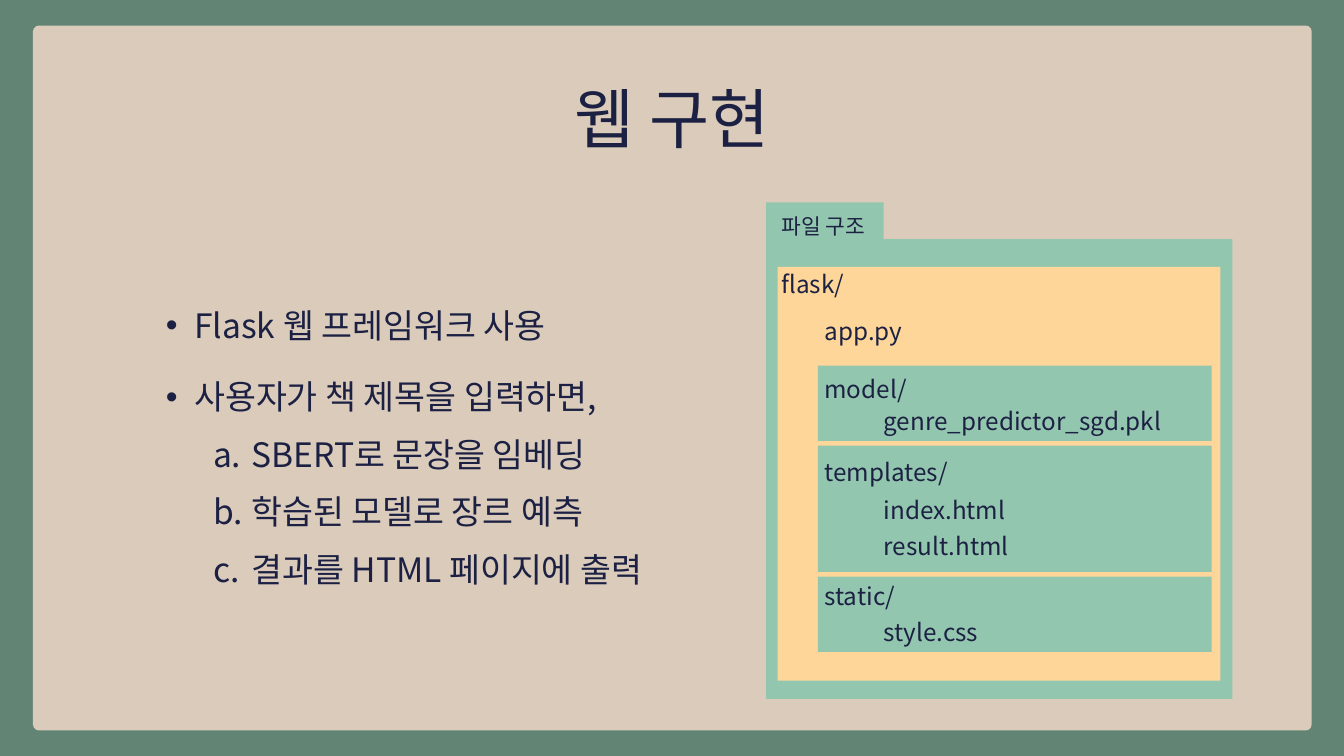
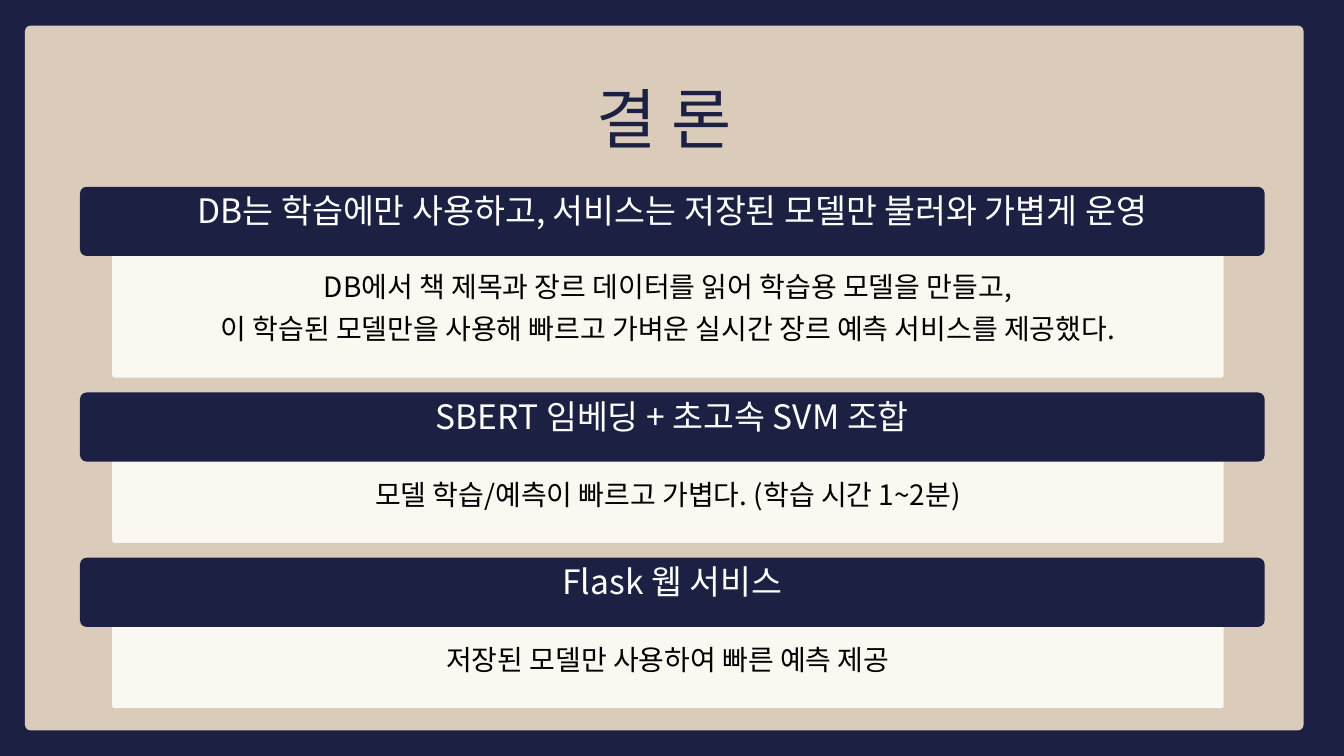
from dataclasses import dataclass

import pptx
import pptx.dml.color
import pptx.enum.shapes
import pptx.enum.text
import pptx.oxml.ns
import pptx.oxml.xmlchemy
import pptx.presentation
import pptx.shapes.autoshape
import pptx.slide
import pptx.text.text
import pptx.util
from lxml import etree
from pptx.util import Inches

RGBColor = pptx.dml.color.RGBColor
Align = pptx.enum.text.PP_ALIGN
Anchor = pptx.enum.text.MSO_ANCHOR
AutoSize = pptx.enum.text.MSO_AUTO_SIZE
Preset = pptx.enum.shapes.MSO_SHAPE
qn = pptx.oxml.ns.qn

# Shared look
FONT = "Noto Sans CJK KR"
NAVY = RGBColor(0x1C, 0x21, 0x43)
GREEN = RGBColor(0x62, 0x84, 0x74)
BEIGE = RGBColor(0xDB, 0xCB, 0xBB)
MINT = RGBColor(0x93, 0xC6, 0xAE)
YELLOW = RGBColor(0xFF, 0xD6, 0x99)
CREAM = RGBColor(0xFA, 0xF8, 0xF0)
BLACK = RGBColor(0, 0, 0)
WHITE = RGBColor(0xFF, 0xFF, 0xFF)


@dataclass(frozen=True)
class Box:
    """Left, top, width and height in inches."""
    left: float
    top: float
    width: float
    height: float


@dataclass(frozen=True)
class Style:
    size: float
    spacing: float
    color: RGBColor = NAVY
    align: Align | None = Align.JUSTIFY


@dataclass(frozen=True)
class Folder:
    name: str
    files: list[str]
    files_offset: float
    files_width: float


@dataclass(frozen=True)
class Conclusion:
    heading: str
    lines: list[str]


TITLE = Style(70, 98, align=Align.CENTER)
TAB_LABEL = Style(23, 34.5)
FILE_NAME = Style(26, 39)
FOLDER_NAME = Style(26, 44.5)
BULLET = Style(36, 76.3, align=None)
STEP = Style(36, 61.6)
HEADING = Style(36, 54, WHITE, Align.CENTER)
BODY = Style(30, 45, BLACK, Align.CENTER)

FOLDERS = [
    Folder("model/", ["genre_predictor_sgd.pkl"], 0.49, 4.43),
    Folder("templates/", ["index.html", "result.html"], 0.63, 1.95),
    Folder("static/", ["style.css"], 0.49, 1.66),
]
BULLETS = ["Flask 웹 프레임워크 사용", "사용자가 책 제목을 입력하면,"]
STEPS = ["SBERT로 문장을 임베딩", "학습된 모델로 장르 예측", "결과를 HTML 페이지에 출력"]
CONCLUSIONS = [
    Conclusion(
        "DB는 학습에만 사용하고, 서비스는 저장된 모델만 불러와 가볍게 운영",
        ["DB에서 책 제목과 장르 데이터를 읽어 학습용 모델을 만들고,",
         "이 학습된 모델만을 사용해 빠르고 가벼운 실시간 장르 예측 서비스를 제공했다."],
    ),
    Conclusion("SBERT 임베딩 + 초고속 SVM 조합",
               ["모델 학습/예측이 빠르고 가볍다. (학습 시간 1~2분)"]),
    Conclusion("Flask 웹 서비스", ["저장된 모델만 사용하여 빠른 예측 제공"]),
]


def place(box: Box) -> tuple[pptx.util.Length, ...]:
    return tuple(Inches(value) for value in (box.left, box.top, box.width, box.height))


def add_panel(slide: pptx.slide.Slide, box: Box, color: RGBColor,
              radius: float = 0) -> pptx.shapes.autoshape.Shape:
    preset = Preset.ROUNDED_RECTANGLE if radius else Preset.RECTANGLE
    shape = slide.shapes.add_shape(preset, *place(box))
    if radius:
        shape.adjustments[0] = radius / min(box.width, box.height)
    shape.fill.solid()
    shape.fill.fore_color.rgb = color
    shape.line.fill.background()
    shape.shadow.inherit = False
    return shape


def format_paragraph(paragraph: pptx.text.text._Paragraph, style: Style) -> None:
    paragraph.alignment = style.align
    paragraph.line_spacing = pptx.util.Pt(style.spacing)
    font = paragraph.font
    font.size = pptx.util.Pt(style.size)
    font.color.rgb = style.color
    font.name = FONT
    # East Asian text needs its own typeface element
    defaults = paragraph._p.pPr.find(qn("a:defRPr"))
    etree.SubElement(defaults, qn("a:ea"), typeface=FONT)


def prepare_frame(frame: pptx.text.text.TextFrame, inset: float = 0) -> None:
    frame.word_wrap = True
    frame.vertical_anchor = Anchor.TOP
    frame.margin_left = frame.margin_right = Inches(inset)
    frame.margin_top = frame.margin_bottom = Inches(inset)


def fill_lines(frame: pptx.text.text.TextFrame, lines: list[str], style: Style) -> None:
    for index, line in enumerate(lines):
        paragraph = frame.add_paragraph() if index else frame.paragraphs[0]
        paragraph.text = line
        format_paragraph(paragraph, style)


def add_text(slide: pptx.slide.Slide, box: Box, lines: list[str], style: Style,
             inset: float = 0) -> pptx.text.text.TextFrame:
    frame = slide.shapes.add_textbox(*place(box)).text_frame
    prepare_frame(frame, inset)
    fill_lines(frame, lines, style)
    return frame


def add_bullet(paragraph: pptx.text.text._Paragraph, level: int, margin: float,
               hanging: float, tag: str, **attributes: str) -> None:
    paragraph.level = level
    properties = paragraph._p.get_or_add_pPr()
    properties.set("marL", str(Inches(margin)))
    properties.set("indent", str(-Inches(hanging)))
    if tag == "a:buChar":
        etree.SubElement(properties, qn("a:buFont"), typeface="Arial")
    etree.SubElement(properties, qn(tag), **attributes)


def add_slide(presentation: pptx.presentation.Presentation, title_text: str,
              title_box: Box, background: RGBColor, panel_left: float) -> pptx.slide.Slide:
    """Coloured frame, rounded beige panel and centred title."""
    slide = presentation.slides.add_slide(presentation.slide_layouts[5])
    slide.background.fill.solid()
    slide.background.fill.fore_color.rgb = background
    title = slide.shapes.title
    title.left, title.top, title.width, title.height = place(title_box)
    prepare_frame(title.text_frame)
    title.text_frame.auto_size = AutoSize.NONE
    fill_lines(title.text_frame, [title_text], TITLE)
    panel = add_panel(slide, Box(panel_left, 0.38, 19.03, 10.49), BEIGE, 0.09)
    title.element.addprevious(panel.element)
    return slide


def add_file_tree(slide: pptx.slide.Slide) -> None:
    # Outer folder with its tab
    add_panel(slide, Box(11.4, 3.56, 6.94, 6.84), MINT)
    add_panel(slide, Box(11.4, 3.01, 1.75, 0.55), MINT)
    add_text(slide, Box(11.63, 3.08, 1.29, 0.44), ["파일 구조"], TAB_LABEL)
    add_panel(slide, Box(11.57, 3.97, 6.59, 6.16), YELLOW)

    # Subfolder panels and their files, each as tall as its file count asks
    top = 5.44
    for folder in FOLDERS:
        height = 0.36 + 0.76 * len(folder.files)
        add_panel(slide, Box(12.17, top, 5.86, height), MINT)
        files_box = Box(13.15, top + folder.files_offset, folder.files_width,
                        0.53 * len(folder.files))
        add_text(slide, files_box, folder.files, FILE_NAME)
        top += height + 0.07

    # Subfolder names leave one line for every file above them
    names = add_text(slide, Box(12.27, 5.38, 2, 3.61),
                     [folder.name for folder in FOLDERS], FOLDER_NAME)
    for paragraph, previous in zip(names.paragraphs[1:], FOLDERS):
        paragraph.space_before = pptx.util.Pt(FOLDER_NAME.spacing * len(previous.files))
    add_text(slide, Box(12.27, 4.6, 1.21, 0.5), ["app.py"], FILE_NAME)
    add_text(slide, Box(11.63, 3.9, 1.1, 0.5), ["flask/"], FILE_NAME)


def add_web_points(slide: pptx.slide.Slide) -> None:
    frame = slide.shapes.add_textbox(*place(Box(2.04, 4.08, 7.72, 4.66))).text_frame
    prepare_frame(frame)
    for index, line in enumerate(BULLETS + STEPS):
        paragraph = frame.add_paragraph() if index else frame.paragraphs[0]
        paragraph.text = line
        if index < len(BULLETS):
            add_bullet(paragraph, 1, 0.85, 0.42, "a:buChar", char="•")
            format_paragraph(paragraph, BULLET)
        else:
            add_bullet(paragraph, 2, 1.7, 0.57, "a:buAutoNum", type="alphaLcPeriod")
            format_paragraph(paragraph, STEP)


def add_conclusions(slide: pptx.slide.Slide) -> None:
    band_top = 2.78
    for conclusion in CONCLUSIONS:
        # Card with body text resting above its lower edge
        card = Box(1.67, band_top + 0.51, 16.54, 1.13 + 0.6 * len(conclusion.lines))
        add_panel(slide, card, CREAM, 0.04)
        body_box = Box(card.left, card.top - 0.39, card.width, card.height + 0.39)
        body = add_text(slide, body_box, conclusion.lines, BODY, 0.06)
        body.vertical_anchor = Anchor.BOTTOM
        body.margin_bottom = Inches(0.48)

        # Heading band over the card's top edge
        add_panel(slide, Box(1.19, band_top, 17.63, 1.03), NAVY, 0.1)
        heading = add_text(slide, Box(1.19, band_top - 0.48, 17.63, 1.5),
                           [conclusion.heading], HEADING, 0.06)
        heading.vertical_anchor = Anchor.MIDDLE
        band_top = card.top + card.height + 0.22


def main() -> None:
    presentation = pptx.Presentation()
    presentation.slide_width = Inches(20)
    presentation.slide_height = Inches(11.25)

    web = add_slide(presentation, "웹 구현", Box(7.12, 0.97, 5.77, 1.32), GREEN, 0.49)
    add_file_tree(web)
    add_web_points(web)

    conclusion = add_slide(presentation, "결 론", Box(8.54, 0.97, 2.69, 1.32), NAVY, 0.37)
    add_conclusions(conclusion)

    presentation.save("out.pptx")


if __name__ == "__main__":
    main()
